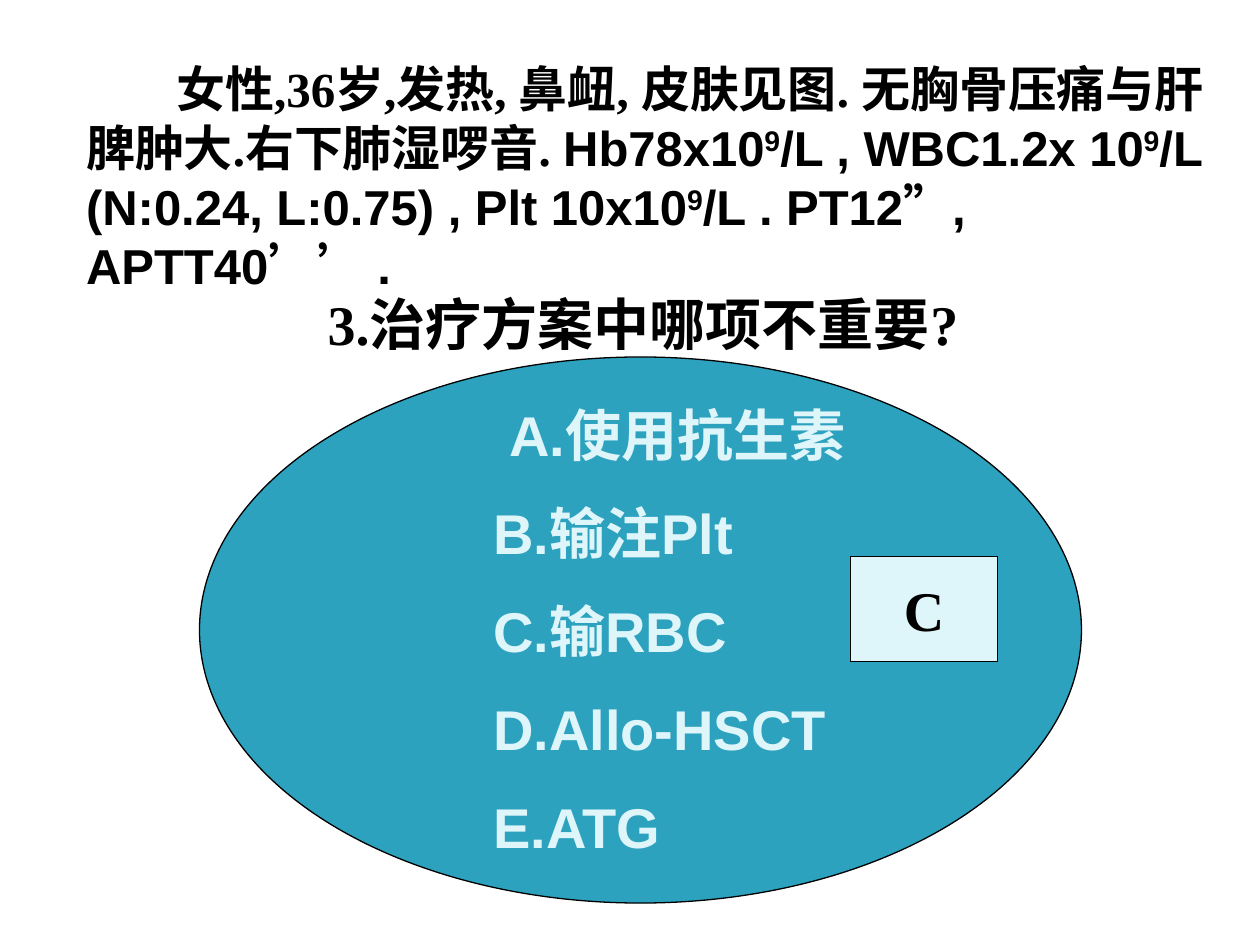
import pptx
import pptx.util
import pptx.dml.color
import pptx.enum.shapes
import pptx.enum.text
from lxml import etree

Pt = pptx.util.Pt
ANCHOR = pptx.enum.text.MSO_ANCHOR
ALIGN = pptx.enum.text.PP_ALIGN
SHAPE = pptx.enum.shapes.MSO_SHAPE

SERIF, SANS = "Times New Roman", "Arial"
BLACK, TEAL, PALE = "000000", "2DA2BF", "DEF5FA"

QUESTION = "3.治疗方案中哪项不重要?"
OPTIONS = ["A.使用抗生素", "B.输注Plt", "C.输RBC", "D.Allo-HSCT", "E.ATG"]
ANSWER = "C"
# (text, font, superscript)
CASE = [
    ("女性,36岁,发热, 鼻衄, 皮肤见图. 无胸骨压痛与肝脾肿大.右下肺湿啰音. ", SERIF, False),
    ("Hb78x10", SANS, False),
    ("9", SANS, True),
    ("/L , WBC1.2x 10", SANS, False),
    ("9", SANS, True),
    ("/L (N:0.24, L:0.75) , Plt 10x10", SANS, False),
    ("9", SANS, True),
    ("/L . PT12”, APTT40’’ .", SANS, False),
]


def rgb(code):
    return pptx.dml.color.RGBColor.from_string(code)


def place(sp, left, top, width, height):
    sp.left, sp.top, sp.width, sp.height = Pt(left), Pt(top), Pt(width), Pt(height)


def setup_text(sp, anchor):
    tf = sp.text_frame
    tf.word_wrap = True
    tf.auto_size = pptx.enum.text.MSO_AUTO_SIZE.NONE
    tf.vertical_anchor = anchor
    return tf


def format_paragraph(p, align=ALIGN.LEFT, before=0, margin=0, indent=0):
    """Set alignment, spacing and indents in points, without a bullet."""
    p.alignment = align
    p.space_before = Pt(before)
    pPr = p._p.get_or_add_pPr()
    pPr.set("marL", str(Pt(margin)))
    pPr.set("indent", str(Pt(indent)))
    etree.SubElement(pPr, pptx.oxml.ns.qn("a:buNone"))


def add_run(p, text, font, size, color, superscript=False):
    r = p.add_run()
    r.text = text
    r.font.name, r.font.size, r.font.bold = font, Pt(size), True
    r.font.color.rgb = rgb(color)
    if superscript:
        r._r.get_or_add_rPr().set("baseline", "30000")


def add_filled(s, kind, box, fill):
    sp = s.shapes.add_shape(kind, *map(Pt, box))
    sp.shadow.inherit = False
    sp.fill.solid()
    sp.fill.fore_color.rgb = rgb(fill)
    sp.line.color.rgb = rgb(BLACK)
    sp.line.width = Pt(0.75)
    return sp


prs = pptx.Presentation()
prs.slide_width, prs.slide_height = Pt(720), Pt(540)
s = prs.slides.add_slide(prs.slide_layouts[1])

title, body = s.placeholders
place(title, 180, 162, 414, 45)
p = setup_text(title, ANCHOR.TOP).paragraphs[0]
format_paragraph(p)
add_run(p, QUESTION, SERIF, 32, BLACK)

place(body, 42, 30, 654, 142)
p = setup_text(body, ANCHOR.TOP).paragraphs[0]
format_paragraph(p, indent=51.5)
for text, font, superscript in CASE:
    add_run(p, text, font, 28, BLACK, superscript)

oval = add_filled(s, SHAPE.OVAL, (114, 204, 504, 312), TEAL)
tf = setup_text(oval, ANCHOR.MIDDLE)
for i, option in enumerate(OPTIONS):
    p = tf.add_paragraph() if i else tf.paragraphs[0]
    format_paragraph(p, before=17.5 if i else 0, margin=87, indent=0 if i else 9)
    add_run(p, option, SANS, 32, PALE)

answer = add_filled(s, SHAPE.RECTANGLE, (486, 318, 84, 60), PALE)
p = setup_text(answer, ANCHOR.MIDDLE).paragraphs[0]
format_paragraph(p, align=ALIGN.CENTER)
add_run(p, ANSWER, SERIF, 32, BLACK)

prs.save("out.pptx")
